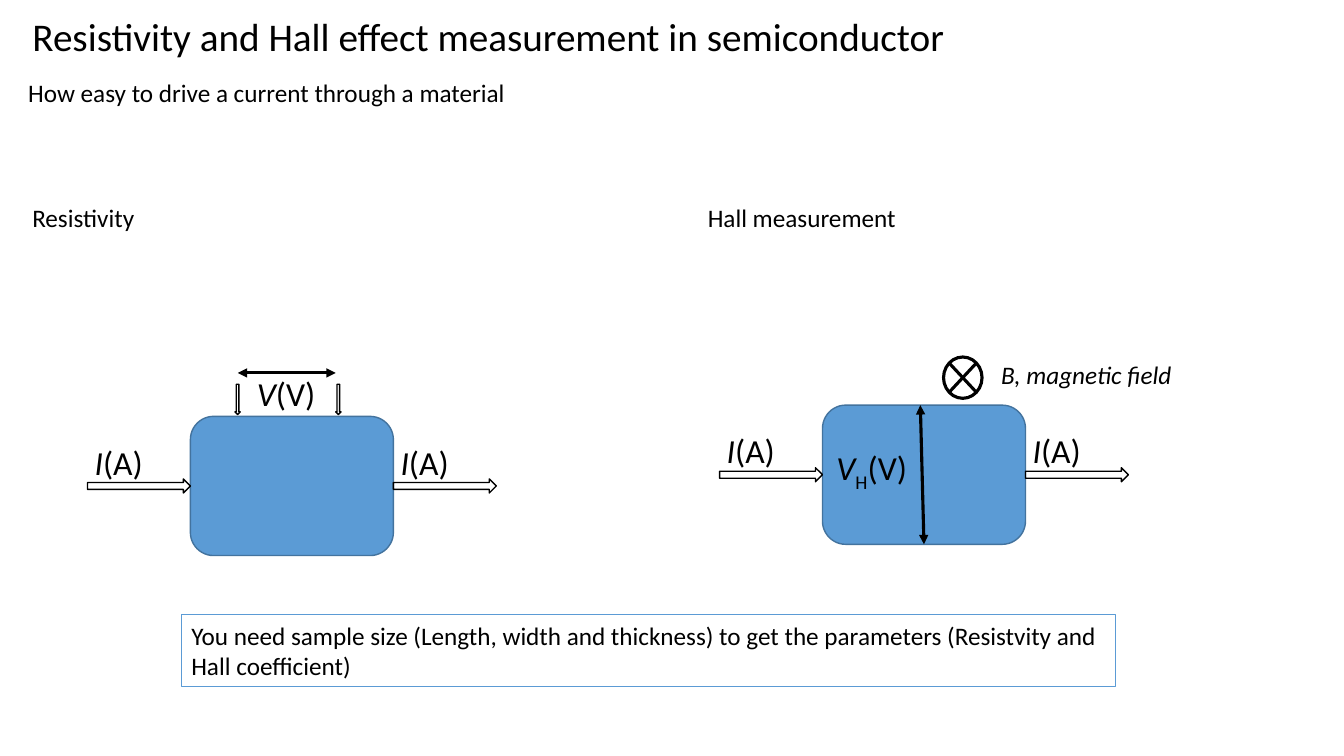
from lxml import etree
from pptx import Presentation
from pptx.dml.color import RGBColor
from pptx.enum import shapes, text
from pptx.oxml import ns
from pptx.util import Pt

COLORS = {"ink": "000000", "sample": "5B9BD5", "edge": "43739E"}
FONT = "Calibri"
SAMPLE_W, SAMPLE_H = 145, 99.4
ARROW_W, ARROW_H = 73.5, 10
CURRENT = [("I", "italic"), ("(A)", "")]


def color(name):
    return RGBColor.from_string(COLORS[name])


def write(frame, runs, size=18, wrap=False):
    """Fill a text frame with (text, style) runs; a plain string is one run."""
    frame.word_wrap = wrap
    frame.auto_size = text.MSO_AUTO_SIZE.SHAPE_TO_FIT_TEXT
    frame.vertical_anchor = text.MSO_ANCHOR.TOP
    paragraph = frame.paragraphs[0]
    paragraph.alignment = text.PP_ALIGN.LEFT
    for words, style in [(runs, "")] if isinstance(runs, str) else runs:
        run = paragraph.add_run()
        run.text = words
        run.font.name, run.font.size = FONT, Pt(size)
        run.font.color.rgb = color("ink")
        run.font.italic = style == "italic"
        if style == "sub":
            run._r.get_or_add_rPr().set("baseline", "-25000")


def add_label(parent, left, top, width, height, runs, **style):
    label = parent.add_textbox(Pt(left), Pt(top), Pt(width), Pt(height))
    write(label.text_frame, runs, **style)
    return label


def add_figure(parent, kind, left, top, width, height, fill=None, line="ink", weight=1):
    figure = parent.add_shape(kind, Pt(left), Pt(top), Pt(width), Pt(height))
    figure.shadow.inherit = False
    if fill:
        figure.fill.solid()
        figure.fill.fore_color.rgb = color(fill)
    else:
        figure.fill.background()
    figure.line.color.rgb = color(line)
    figure.line.width = Pt(weight)
    return figure


def add_double_arrow(parent, x1, y1, x2, y2):
    arrow = parent.add_connector(shapes.MSO_CONNECTOR.STRAIGHT, Pt(x1), Pt(y1), Pt(x2), Pt(y2))
    arrow.line.color.rgb = color("ink")
    arrow.line.width = Pt(2.25)
    line = arrow.line._get_or_add_ln()
    for end in ("a:headEnd", "a:tailEnd"):
        etree.SubElement(line, ns.qn(end), type="triangle")
    etree.SubElement(arrow._element.spPr, ns.qn("a:effectLst"))
    return arrow


def add_sample(parent, left, top):
    """Draw a sample with the current flowing in and out of it."""
    kinds = shapes.MSO_SHAPE
    sample = add_figure(parent, kinds.ROUNDED_RECTANGLE, left, top, SAMPLE_W, SAMPLE_H,
                        fill="sample", line="edge")
    for arrow_left in (left - ARROW_W, left + SAMPLE_W):
        add_figure(parent, kinds.RIGHT_ARROW, arrow_left, top + (SAMPLE_H - ARROW_H) / 2,
                   ARROW_W, ARROW_H)
        add_label(parent, arrow_left - 2, top + 14.4, 49, 36.35, CURRENT, size=24)
    return sample


def main():
    deck = Presentation()
    deck.slide_width, deck.slide_height = Pt(960), Pt(540)
    slide = deck.slides.add_slide(deck.slide_layouts[5])
    kinds = shapes.MSO_SHAPE

    # Headings
    title = slide.shapes.title
    title.left, title.top, title.width, title.height = Pt(16), Pt(5), Pt(673), Pt(41.2)
    write(title.text_frame, "Resistivity and Hall effect measurement in semiconductor", size=28)
    add_label(slide.shapes, 13, 52, 359, 29, "How easy to drive a current through a material")
    add_label(slide.shapes, 16, 141, 88, 29, "Resistivity")
    add_label(slide.shapes, 498.5, 141, 150, 29, "Hall measurement")

    # Hall measurement: voltage across the sample, field into the page
    hall = slide.shapes.add_group_shape().shapes
    hall_sample = add_sample(hall, 587.5, 289.4)
    add_label(hall, 590.4, 316, 67, 36.35,
              [("V", "italic"), ("H", "sub"), ("(V)", "")], size=24)
    hall_voltage = add_double_arrow(hall, 657.4, 289.4, 660, 388.8)
    hall_voltage.end_connect(hall_sample, 2)
    add_figure(hall, kinds.FLOWCHART_SUMMING_JUNCTION, 674, 255, 27.5, 29.5, weight=2.25)
    add_label(hall, 708, 253, 137.5, 29, [("B, magnetic field", "italic")])

    # Resistivity: voltage between two probes on top
    resistivity = slide.shapes.add_group_shape().shapes
    add_sample(resistivity, 136, 297.4)
    for probe_left in (167.8, 239.8):
        add_figure(resistivity, kinds.DOWN_ARROW, probe_left, 274.5, 3.8, 21.6)
    add_label(resistivity, 176.4, 263, 57, 36.35, [("V", "italic"), ("(V)", "")], size=24)
    add_double_arrow(resistivity, 169.9, 266.4, 239.8, 266.4)

    # Closing remark
    remark = add_label(slide.shapes, 129.6, 439.2, 667.5, 51,
                       "You need sample size (Length, width and thickness) to get the "
                       "parameters (Resistvity and Hall coefficient)", wrap=True)
    remark.line.color.rgb = color("sample")
    remark.line.width = Pt(0.75)

    deck.save("out.pptx")


if __name__ == "__main__":
    main()
